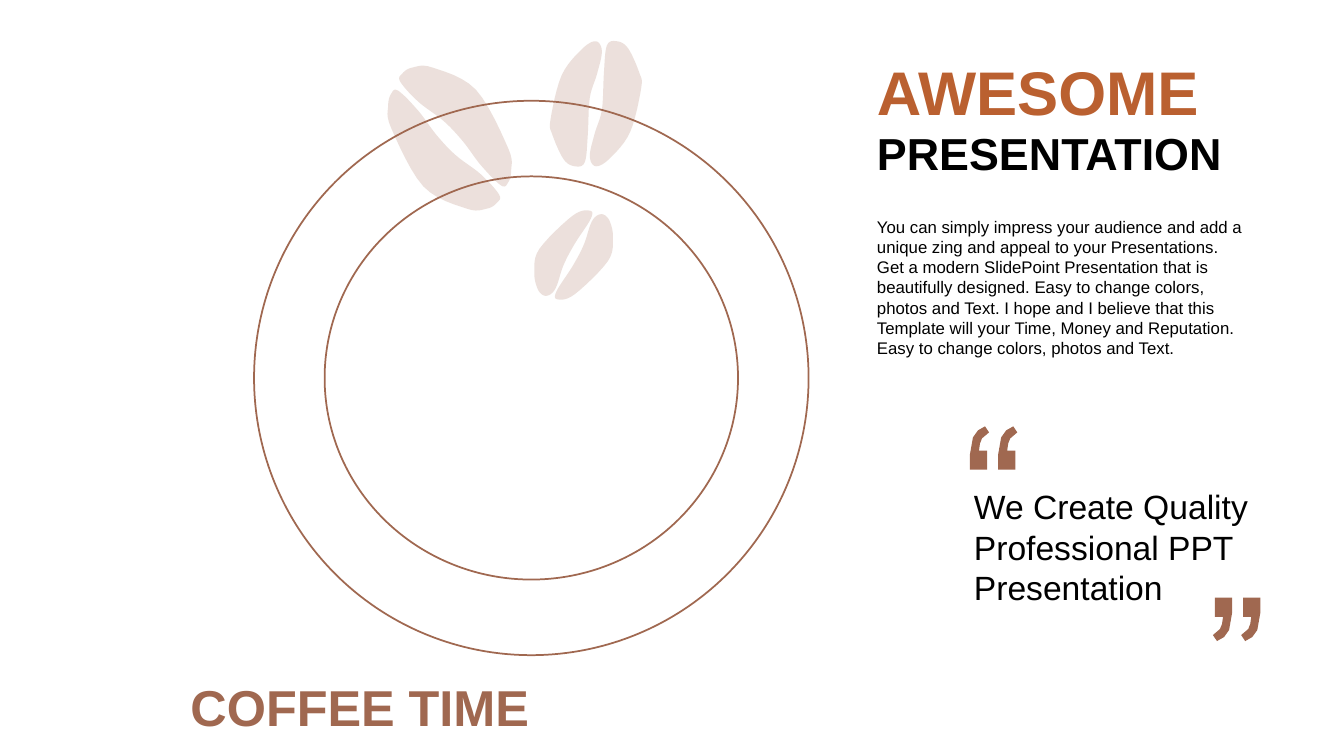
from dataclasses import dataclass

from lxml import etree
from pptx import Presentation
from pptx.dml.color import RGBColor
from pptx.enum.shapes import MSO_SHAPE
from pptx.enum.text import MSO_ANCHOR, MSO_AUTO_SIZE, PP_ALIGN
from pptx.oxml.ns import qn
from pptx.shapes.autoshape import Shape
from pptx.slide import Slide
from pptx.util import Inches, Pt

ELLIPSE = MSO_SHAPE.OVAL
TOP, MIDDLE = MSO_ANCHOR.TOP, MSO_ANCHOR.MIDDLE
LEFT, CENTER, JUSTIFY = PP_ALIGN.LEFT, PP_ALIGN.CENTER, PP_ALIGN.JUSTIFY
GROW = MSO_AUTO_SIZE.SHAPE_TO_FIT_TEXT

COFFEE, ORANGE, BLACK = "A06850", "BA6030", "000000"
FONT = "Arial"
CURVE_STEPS = 6

Points = list[tuple[float, float]]


@dataclass
class Label:
    box: tuple[float, float, float, float]
    text: str
    size: float
    color: str = BLACK
    bold: bool = False
    align: PP_ALIGN = LEFT
    anchor: MSO_ANCHOR = MIDDLE
    insets: tuple[float, float] = (0.1, 0.05)


@dataclass
class Bean:
    """The left half; the right half is the same, turned half round the centre."""
    center: tuple[float, float]
    half: Points


OUTER_PLATE = (2.52, 1, 5.5, 5.5)
INNER_PLATE = (3.22, 1.75, 4.1, 4)

LABELS = [
    Label((8.6, 0.48, 3.9, 0.84), "AWESOME", 44, ORANGE, True, JUSTIFY),
    Label((8.6, 1.19, 3.9, 0.64), "PRESENTATION", 32, BLACK, True, JUSTIFY),
    Label((9.62, 4.82, 3.2, 1.21), "We Create Quality\nProfessional PPT Presentation", 24,
          insets=(0.04, 0)),
    Label((8.6, 2.1, 3.9, 1.51),
          "You can simply impress your audience and add a unique zing and appeal to your "
          "Presentations. Get a modern SlidePoint Presentation that is beautifully designed. "
          "Easy to change colors, photos and Text. I hope and I believe that this Template will "
          "your Time, Money and Reputation. Easy to change colors, photos and Text.",
          12, anchor=TOP),
    Label((1.52, 6.65, 4.1, 0.71), "COFFEE TIME", 36, COFFEE, True, CENTER),
]

# One mark of the quotation sign, measured from its top-left corner
QUOTE_MARK: Points = [
    (0.15, 0), (0.19, 0.06), (0.12, 0.12), (0.1, 0.17), (0.09, 0.24), (0.17, 0.24),
    (0.17, 0.43), (0, 0.43), (0, 0.28), (0.03, 0.11), (0.08, 0.04),
]
MARK_STEP = 0.28

BEANS = [
    Bean((4.46, 1.37), [
        (3.85, 1.05), (3.88, 0.93), (3.95, 0.9), (4.15, 1.1), (4.33, 1.34), (4.52, 1.54),
        (4.77, 1.73), (4.95, 1.93), (4.93, 2.01), (4.83, 2.07), (4.63, 2.07), (4.2, 1.85),
        (3.88, 1.27)]),
    Bean((5.91, 1.03), [
        (5.46, 1.19), (5.57, 0.75), (5.77, 0.49), (5.91, 0.41), (5.97, 0.51), (5.92, 0.74),
        (5.85, 0.97), (5.83, 1.34), (5.8, 1.61), (5.7, 1.65), (5.59, 1.58), (5.48, 1.34)]),
    Bean((5.69, 2.53), [
        (5.3, 2.7), (5.35, 2.47), (5.68, 2.14), (5.85, 2.09), (5.86, 2.17), (5.7, 2.42),
        (5.59, 2.63), (5.52, 2.84), (5.46, 2.92), (5.39, 2.93), (5.33, 2.86)]),
]


def rgb(color: str) -> RGBColor:
    return RGBColor.from_string(color)


def smooth(corners: Points) -> Points:
    """Run a closed Catmull-Rom curve through the corners."""
    points = []
    count = len(corners)
    for index in range(count):
        near = [corners[(index + shift) % count] for shift in (-1, 0, 1, 2)]
        for step in range(CURVE_STEPS):
            t = step / CURVE_STEPS
            x, y = (
                b + t * (c - a) / 2
                + t ** 2 * (2 * a - 5 * b + 4 * c - d) / 2
                + t ** 3 * (3 * b - a - 3 * c + d) / 2
                for a, b, c, d in zip(*near)
            )
            points.append((x, y))
    return points


def add_outline(shapes, outlines: list[Points]) -> Shape:
    builder = None
    for outline in outlines:
        start, *rest = [(Inches(x), Inches(y)) for x, y in outline]
        if builder is None:
            builder = shapes.build_freeform(*start)
        else:
            builder.move_to(*start)
        builder.add_line_segments(rest)
    shape = builder.convert_to_shape()
    shape.shadow.inherit = False
    shape.fill.solid()
    shape.fill.fore_color.rgb = rgb(COFFEE)
    shape.line.fill.background()
    return shape


def add_quote(slide: Slide, left: float, top: float, rotation: float) -> None:
    marks = [[(left + offset + x, top + y) for x, y in QUOTE_MARK] for offset in (MARK_STEP, 0)]
    add_outline(slide.shapes, marks).rotation = rotation


def add_beans(slide: Slide) -> None:
    group = slide.shapes.add_group_shape()
    for bean in BEANS:
        center_x, center_y = bean.center
        left_half = smooth(bean.half)
        right_half = [(2 * center_x - x, 2 * center_y - y) for x, y in left_half]
        for half in (left_half, right_half):
            shape = add_outline(group.shapes, [half])
            color = shape.element.find(".//" + qn("a:srgbClr"))
            etree.SubElement(color, qn("a:alpha"), val="20000")


def add_plate(slide: Slide, box: tuple[float, float, float, float]) -> None:
    shape = slide.shapes.add_shape(ELLIPSE, *map(Inches, box))
    shape.shadow.inherit = False
    shape.fill.background()
    shape.line.color.rgb = rgb(COFFEE)
    shape.line.width = Pt(1.25)


def add_label(slide: Slide, label: Label) -> None:
    frame = slide.shapes.add_textbox(*map(Inches, label.box)).text_frame
    frame.text = label.text
    frame.word_wrap = True
    frame.auto_size = GROW
    frame.vertical_anchor = label.anchor
    frame.margin_left = frame.margin_right = Inches(label.insets[0])
    frame.margin_top = frame.margin_bottom = Inches(label.insets[1])
    for paragraph in frame.paragraphs:
        paragraph.alignment = label.align
        font = paragraph.runs[0].font
        font.name, font.size, font.bold = FONT, Pt(label.size), label.bold
        font.color.rgb = rgb(label.color)


def main() -> None:
    presentation = Presentation()
    presentation.slide_width, presentation.slide_height = Inches(13.33), Inches(7.5)
    slide = presentation.slides.add_slide(presentation.slide_layouts[6])

    # Beans between the two plate rings
    add_plate(slide, OUTER_PLATE)
    add_beans(slide)
    add_plate(slide, INNER_PLATE)

    # Texts and quotation signs
    for label in LABELS:
        add_label(slide, label)
    add_quote(slide, 9.62, 4.23, 0)
    add_quote(slide, 12.03, 5.93, 180)

    presentation.save("out.pptx")


if __name__ == "__main__":
    main()
